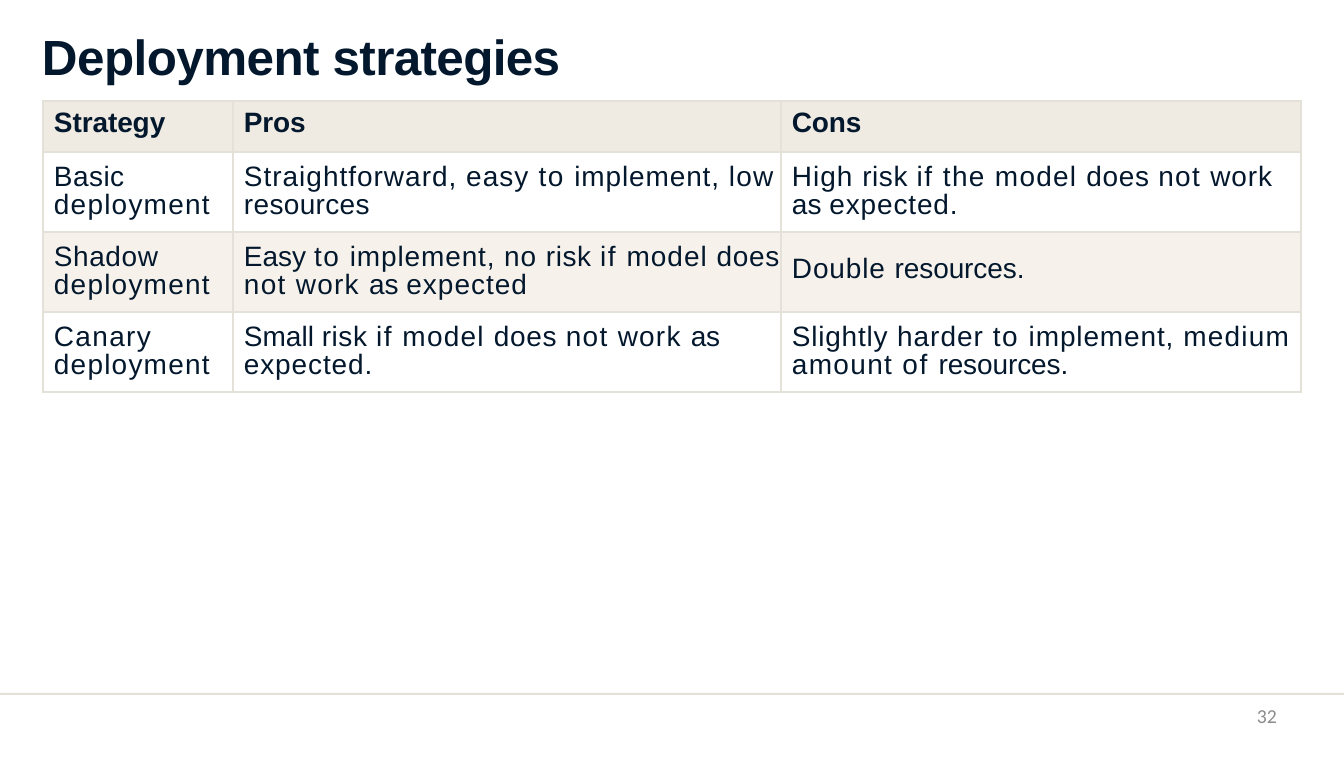
import pptx
import pptx.dml.color
import pptx.enum.shapes
import pptx.enum.text
import pptx.oxml
import pptx.oxml.ns
import pptx.util

RGBColor = pptx.dml.color.RGBColor
NAVY = RGBColor(0x04, 0x18, 0x2D)
GRAY = RGBColor(0x8C, 0x8C, 0x8C)
RULE = RGBColor(0xE4, 0xE1, 0xD9)
HEADER = RGBColor(0xEF, 0xEB, 0xE3)
BAND = RGBColor(0xF6, 0xF2, 0xEB)
WHITE = RGBColor(0xFF, 0xFF, 0xFF)

# Content: each text is a list of (words, letter spacing in points)
TITLE = [("Deployment ", -0.5), ("strategies", -0.6)]
PAGE_NUMBER = [("32", 0)]
ROWS = [
    [
        [("Strategy", -0.1)],
        [("Pros", -0.2)],
        [("Cons", -0.2)],
    ],
    [
        [("Basic ", 0.4), ("deployment", 1.1)],
        [("Straightforward, easy ", 0.9), ("to ", 1.4), ("implement, ", 0.8),
         ("low ", 1.1), ("resources", 0.3)],
        [("High ", 0.9), ("risk ", 0.5), ("if ", 1.4), ("the ", 1.2),
         ("model ", 1.1), ("does ", 0.6), ("not ", 1.2), ("work ", 0.8),
         ("as ", 0), ("expected.", 0.8)],
    ],
    [
        [("Shadow ", 0.5), ("deployment", 1.1)],
        [("Easy ", 0), ("to ", 1.4), ("implement, no ", 0.8), ("risk ", 0.5),
         ("if ", 1.4), ("model ", 0.9), ("does ", 0.6), ("not ", 1.2),
         ("work ", 1.1), ("as ", 0), ("expected", 0.9)],
        [("Double ", 0.8), ("resources.", -0.1)],
    ],
    [
        [("Canary ", 1.2), ("deployment", 1.1)],
        [("Small ", 0), ("risk ", 0.5), ("if ", 1.4), ("model ", 1.1),
         ("does ", 0.6), ("not ", 1.2), ("work ", 1.1), ("as ", -0.2),
         ("expected.", 0.8)],
        [("Slightly ", 0.7), ("harder ", 0.9), ("to ", 1.4),
         ("implement, ", 0.8), ("medium ", 1.1), ("amount ", 1.2),
         ("of ", 1.5), ("resources.", -0.1)],
    ],
]

# Layout in px
PX = 914400 // 79
SLIDE_WIDTH, SLIDE_HEIGHT = 1344, 757
TITLE_BOX = (41, 24, 926, 62)
PAGE_BOX = (968, 704, 309, 38)
FOOTER_RULE = (0, 693, SLIDE_WIDTH, 2)
TABLE_LEFT, TABLE_TOP = 43, 101
COLUMN_WIDTHS = [190, 548, 520]
ROW_HEIGHTS = [51, 80, 80, 80]
ROW_FILLS = [HEADER, WHITE, BAND, WHITE]
CELL_INDENT = 11
HEADER_INSET, BODY_INSET, SINGLE_LINE_INSET = 6, 12, 21
BODY_LINE = pptx.util.Pt(25.8)
BORDER_WIDTH = pptx.util.Pt(2.25)

# Font formats
TITLE_FONT = {"name": "Arial", "size": pptx.util.Pt(45), "bold": True}
HEADER_FONT = {"name": "Arial", "size": pptx.util.Pt(25.5), "bold": True}
BODY_FONT = {**HEADER_FONT, "bold": False}
PAGE_FONT = {"name": "Calibri", "size": pptx.util.Pt(18), "bold": False}


def to_emu(lengths):
    return [length * PX for length in lengths]


def write(paragraph, pieces, font_format, color):
    for words, spacing in pieces:
        run = paragraph.add_run()
        run.text = words
        for name, value in font_format.items():
            setattr(run.font, name, value)
        run.font.color.rgb = color
        run.font._element.set("spc", str(round(spacing * 100)))


def set_margins(target, left, top):
    margins = {"margin_left": left * PX, "margin_top": top * PX,
               "margin_right": 0, "margin_bottom": 0}
    for name, value in margins.items():
        setattr(target, name, value)


def add_text(slide, box, pieces, font_format, color, margins=(0, 0)):
    frame = slide.shapes.add_textbox(*to_emu(box)).text_frame
    frame.word_wrap = True
    set_margins(frame, *margins)
    write(frame.paragraphs[0], pieces, font_format, color)
    return frame.paragraphs[0]


def add_borders(cell):
    properties = cell._tc.get_or_add_tcPr()
    for index, side in enumerate("LRTB"):
        properties.insert(index, pptx.oxml.parse_xml(
            f'<a:ln{side} {pptx.oxml.ns.nsdecls("a")} w="{BORDER_WIDTH}">'
            f'<a:solidFill><a:srgbClr val="{RULE}"/></a:solidFill>'
            f'</a:ln{side}>'))


def fill_cell(cell, pieces, is_header, fill, is_single_line):
    cell.fill.solid()
    cell.fill.fore_color.rgb = fill
    paragraph = cell.text_frame.paragraphs[0]
    if is_header:
        inset = HEADER_INSET
    elif is_single_line:
        inset = SINGLE_LINE_INSET
    else:
        inset = BODY_INSET
        paragraph.line_spacing = BODY_LINE
    set_margins(cell, CELL_INDENT, inset)
    write(paragraph, pieces, HEADER_FONT if is_header else BODY_FONT, NAVY)
    add_borders(cell)


def add_strategy_table(slide):
    box = (TABLE_LEFT, TABLE_TOP, sum(COLUMN_WIDTHS), sum(ROW_HEIGHTS))
    table = slide.shapes.add_table(
        len(ROWS), len(COLUMN_WIDTHS), *to_emu(box)).table
    table.horz_banding = False
    table.first_row = False
    for column, width in zip(table.columns, COLUMN_WIDTHS):
        column.width = width * PX
    for row, height in zip(table.rows, ROW_HEIGHTS):
        row.height = height * PX
    for row_index, texts in enumerate(ROWS):
        for column_index, pieces in enumerate(texts):
            fill_cell(table.cell(row_index, column_index), pieces,
                      row_index == 0, ROW_FILLS[row_index],
                      (row_index, column_index) == (2, 2))


def main():
    presentation = pptx.Presentation()
    presentation.slide_width = SLIDE_WIDTH * PX
    presentation.slide_height = SLIDE_HEIGHT * PX
    slide = presentation.slides.add_slide(presentation.slide_layouts[6])

    # Footer rule
    rule = slide.shapes.add_shape(
        pptx.enum.shapes.MSO_SHAPE.RECTANGLE, *to_emu(FOOTER_RULE))
    rule.shadow.inherit = False
    rule.fill.solid()
    rule.fill.fore_color.rgb = RULE
    rule.line.fill.background()

    # Title, table and page number
    add_text(slide, TITLE_BOX, TITLE, TITLE_FONT, NAVY, margins=(1, 2))
    add_strategy_table(slide)
    number = add_text(slide, PAGE_BOX, PAGE_NUMBER, PAGE_FONT, GRAY)
    number.alignment = pptx.enum.text.PP_ALIGN.RIGHT

    presentation.save("out.pptx")


if __name__ == "__main__":
    main()
